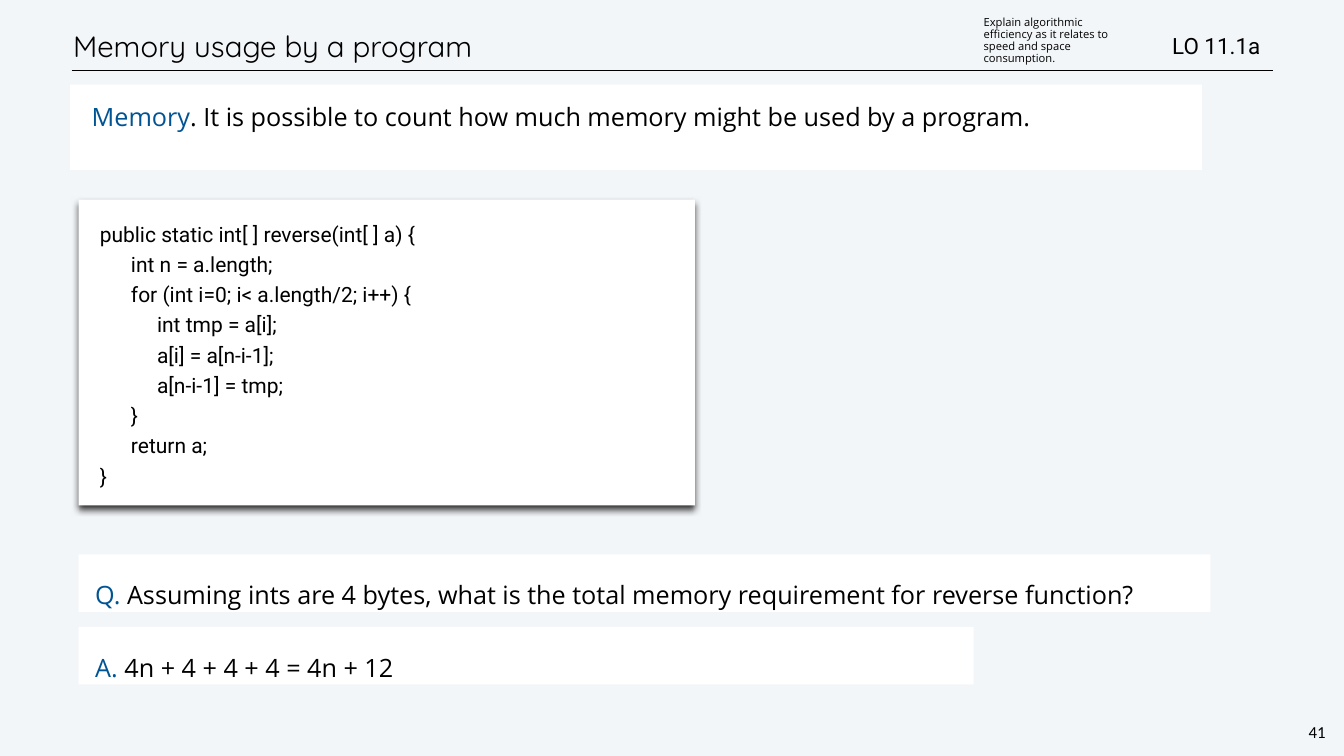
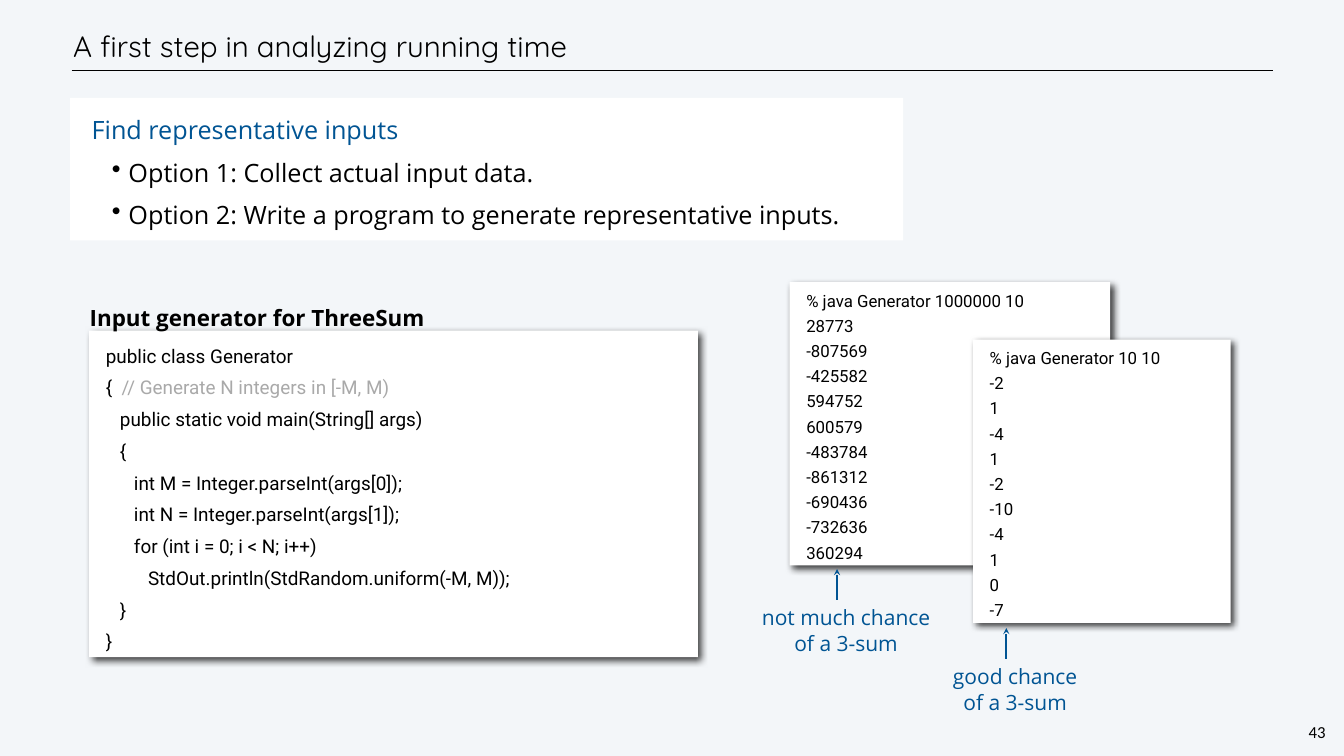
from dataclasses import dataclass, replace
from typing import NamedTuple

from lxml.etree import SubElement
from pptx import Presentation
from pptx.dml.color import RGBColor
from pptx.enum.shapes import MSO_CONNECTOR, MSO_SHAPE
from pptx.enum.text import MSO_ANCHOR, MSO_AUTO_SIZE, PP_ALIGN
from pptx.oxml.ns import qn
from pptx.util import Inches, Pt

# Shared colours
PAPER, WHITE, BLACK, BLUE, GREY = "F3F6F9", "FFFFFF", "000000", "005493", "A9A9A9"


class Span(NamedTuple):
    text: str
    color: str = BLACK


class Line(NamedTuple):
    spans: list[Span]
    bullet: bool = False


class Area(NamedTuple):
    left: float
    top: float
    width: float
    height: float


@dataclass(frozen=True)
class Style:
    font: str
    size: float
    spacing: float | Pt | None = None
    before: float = 0
    inset: float = 0.06
    margin: float = 0
    indent: float = 0
    bold: bool = False
    wrap: bool = True
    align: PP_ALIGN = PP_ALIGN.LEFT
    anchor: MSO_ANCHOR = MSO_ANCHOR.TOP


@dataclass(frozen=True)
class Panel:
    area: Area
    style: Style
    lines: list[Line]
    shadow_angle: int | None = None


@dataclass(frozen=True)
class Callout:
    area: Area
    arrow_x: float
    arrow_top: float
    text: str


# Text styles
TITLE = Style("Quicksand", 42, Pt(50), anchor=MSO_ANCHOR.MIDDLE)
BODY = Style("Open Sans", 36, Pt(43), before=18, inset=0.33, indent=0.1)
QUESTION = Style("Open Sans", 36, Pt(55), inset=0.33)
METHOD = Style("Roboto", 30, 1.2, inset=0.33, margin=0.09)
PROGRAM = Style("Roboto", 27, 1.4, inset=0.33, anchor=MSO_ANCHOR.MIDDLE)
OUTPUT = replace(PROGRAM, size=24, spacing=Pt(36))
CAPTION = Style("Open Sans", 32, Pt(50), bold=True)
NOTE = Style("Open Sans", 30, Pt(36), before=2, wrap=False, align=PP_ALIGN.CENTER)
GOAL_CODE = Style("Roboto", 32, anchor=MSO_ANCHOR.MIDDLE)
GOAL = Style("Open Sans", 16, 0.9, anchor=MSO_ANCHOR.MIDDLE)
PAGE = Style("Calibri", 24, Pt(28), inset=0.04, wrap=False, align=PP_ALIGN.CENTER)

REVERSE_CODE = """public static int[ ] reverse(int[ ] a) {
      int n = a.length;
      for (int i=0; i< a.length/2; i++) {
           int tmp = a[i];
           a[i] = a[n-i-1];
           a[n-i-1] = tmp;
      }
      return a;
}"""

GENERATOR_CODE = """public class Generator
{  // Generate N integers in [-M, M)
   public static void main(String[] args)
   {
      int M = Integer.parseInt(args[0]);
      int N = Integer.parseInt(args[1]);
      for (int i = 0; i < N; i++)
         StdOut.println(StdRandom.uniform(-M, M));
   }
}"""

WIDE_RUN = """% java Generator 1000000 10
28773
-807569
-425582
594752
600579
-483784
-861312
-690436
-732636
360294"""

NARROW_RUN = """% java Generator 10 10
-2
1
-4
1
-2
-10
-4
1
0
-7"""


def rgb(color: str) -> RGBColor:
    return RGBColor.from_string(color)


def inches(area: Area) -> list[Inches]:
    return [Inches(v) for v in area]


def plain(text: str, color: str = BLACK) -> list[Line]:
    return [Line([Span(row, color)]) for row in text.split("\n")]


def code(text: str) -> list[Line]:
    """Split code into lines, with // comments in grey."""
    lines = []
    for row in text.split("\n"):
        head, mark, comment = row.partition("//")
        spans = [Span(head)]
        if mark:
            spans.append(Span(mark + comment, GREY))
        lines.append(Line(spans))
    return lines


def lead(word: str, rest: str) -> list[Line]:
    return [Line([Span(word, BLUE), Span(rest)])]


def set_indent(p, style: Style, bullet: bool) -> None:
    margin, indent = (0.83, -0.33) if bullet else (style.margin, style.indent)
    pPr = p._p.get_or_add_pPr()
    pPr.set("marL", str(Inches(margin)))
    pPr.set("indent", str(Inches(indent)))
    if bullet:
        p.level = 1
        SubElement(pPr, qn("a:buSzPct")).set("val", "104000")
        SubElement(pPr, qn("a:buChar")).set("char", "•")


def write(sp, style: Style, lines: list[Line]) -> None:
    tf = sp.text_frame
    tf.auto_size = MSO_AUTO_SIZE.NONE
    tf.word_wrap = style.wrap
    tf.vertical_anchor = style.anchor
    tf.margin_left = tf.margin_right = Inches(style.inset)
    tf.margin_top = tf.margin_bottom = Inches(style.inset)
    for i, line in enumerate(lines):
        p = tf.add_paragraph() if i else tf.paragraphs[0]
        set_indent(p, style, line.bullet)
        p.alignment = style.align
        p.line_spacing = style.spacing
        p.space_before = Pt(style.before if i else 0)
        for span in line.spans:
            r = p.add_run()
            r.text = span.text
            r.font.name = style.font
            r.font.size = Pt(style.size)
            r.font.bold = style.bold
            r.font.color.rgb = rgb(span.color)


def add_text(shapes, area: Area, style: Style, lines: list[Line]):
    sp = shapes.add_textbox(*inches(area))
    write(sp, style, lines)
    return sp


def add_shadow(sp, angle: int) -> None:
    effects = sp._element.spPr.find(qn("a:effectLst"))
    shadow = SubElement(effects, qn("a:outerShdw"), blurRad=str(Pt(10)),
                        dist=str(Pt(6)), dir=str(angle * 60000), rotWithShape="0")
    color = SubElement(shadow, qn("a:srgbClr"), val=BLACK)
    SubElement(color, qn("a:alpha"), val="75000")


def add_panel(s, panel: Panel) -> None:
    sp = s.shapes.add_shape(MSO_SHAPE.RECTANGLE, *inches(panel.area))
    sp.fill.solid()
    sp.fill.fore_color.rgb = rgb(WHITE)
    sp.line.fill.background()
    sp.shadow.inherit = False
    if panel.shadow_angle is not None:
        add_shadow(sp, panel.shadow_angle)
    write(sp, panel.style, panel.lines)


def add_line(shapes, start: tuple[float, float], end: tuple[float, float],
             color: str, width: float, arrow: bool = False) -> None:
    cx = shapes.add_connector(MSO_CONNECTOR.STRAIGHT, *map(Inches, start + end))
    cx.line.color.rgb = rgb(color)
    cx.line.width = Pt(width)
    if arrow:
        SubElement(cx.line._get_or_add_ln(), qn("a:headEnd"), type="stealth")
    SubElement(cx._element.spPr, qn("a:effectLst"))


def add_callout(s, note: Callout) -> None:
    group = s.shapes.add_group_shape()
    add_text(group.shapes, note.area, NOTE, plain(note.text, BLUE))
    add_line(group.shapes, (note.arrow_x, note.arrow_top),
             (note.arrow_x, note.arrow_top + 0.61), BLUE, 3, arrow=True)


def add_slide(prs, title: str, page: str):
    """Start a slide with its background, rule, title and page number."""
    s = prs.slides.add_slide(prs.slide_layouts[5])
    s.background.fill.solid()
    s.background.fill.fore_color.rgb = rgb(PAPER)
    sp = s.shapes.title
    sp.left, sp.top, sp.width, sp.height = inches(Area(1.39, 0.42, 22.62, 0.99))
    write(sp, TITLE, plain(title))
    add_line(s.shapes, (1.42, 1.4), (25.27, 1.4), BLACK, 1)
    add_text(s.shapes, Area(25.92, 14.29, 0.43, 0.47), PAGE, plain(page))
    return s


def memory_slide(prs) -> None:
    s = add_slide(prs, "Memory usage by a program", "41")
    panels = [
        Panel(Area(1.39, 1.68, 22.46, 1.69), BODY, lead(
            "Memory", ". It is possible to count how much memory might be used by a program.")),
        Panel(Area(1.56, 11, 22.46, 1.14), QUESTION, lead(
            "Q. ", "Assuming ints are 4 bytes, what is the total memory "
            "requirement for reverse function?")),
        Panel(Area(1.56, 12.44, 17.76, 1.14), QUESTION, lead("A. ", "4n + 4 + 4 + 4 = 4n + 12")),
        Panel(Area(1.56, 3.96, 12.23, 6.07), METHOD, code(REVERSE_CODE), 90),
    ]
    for panel in panels:
        add_panel(s, panel)

    # Learning objective
    add_text(s.shapes, Area(23.2, 0.58, 2.99, 0.65), GOAL_CODE, plain("LO 11.1a"))
    goal = add_text(s.shapes, Area(19.46, 0.35, 2.99, 1.12), GOAL, plain(
        "Explain algorithmic efficiency as it relates to speed and space consumption."))
    goal.text_frame.margin_bottom = Inches(0.26)


def running_time_slide(prs) -> None:
    s = add_slide(prs, "A first step in analyzing running time", "43")
    options = [
        Line([Span("Find representative inputs", BLUE)]),
        Line([Span("Option 1: Collect actual input data.")], bullet=True),
        Line([Span("Option 2: Write a program to generate representative inputs.")], bullet=True),
    ]
    panels = [
        Panel(Area(1.39, 1.94, 16.53, 2.83), BODY, options),
        Panel(Area(1.77, 6.56, 12.08, 6.48), PROGRAM, code(GENERATOR_CODE), 45),
        Panel(Area(15.67, 5.6, 6.36, 5.62), OUTPUT, plain(WIDE_RUN), 45),
        Panel(Area(19.31, 6.74, 5.11, 5.62), OUTPUT, plain(NARROW_RUN), 45),
    ]
    for panel in panels:
        add_panel(s, panel)
    add_text(s.shapes, Area(1.72, 5.81, 7.07, 0.64), CAPTION,
             plain("Input generator for ThreeSum"))

    # Remarks under the two sample runs
    add_callout(s, Callout(Area(14.93, 11.93, 3.72, 1.11), 16.61, 11.29,
                           "not much chance\nof a 3-sum"))
    add_callout(s, Callout(Area(18.73, 13.1, 2.83, 1.11), 19.97, 12.46,
                           "good chance\nof a 3-sum"))


def main() -> None:
    prs = Presentation()
    prs.slide_width, prs.slide_height = Inches(26.67), Inches(15)
    memory_slide(prs)
    running_time_slide(prs)
    prs.save("out.pptx")


if __name__ == "__main__":
    main()
